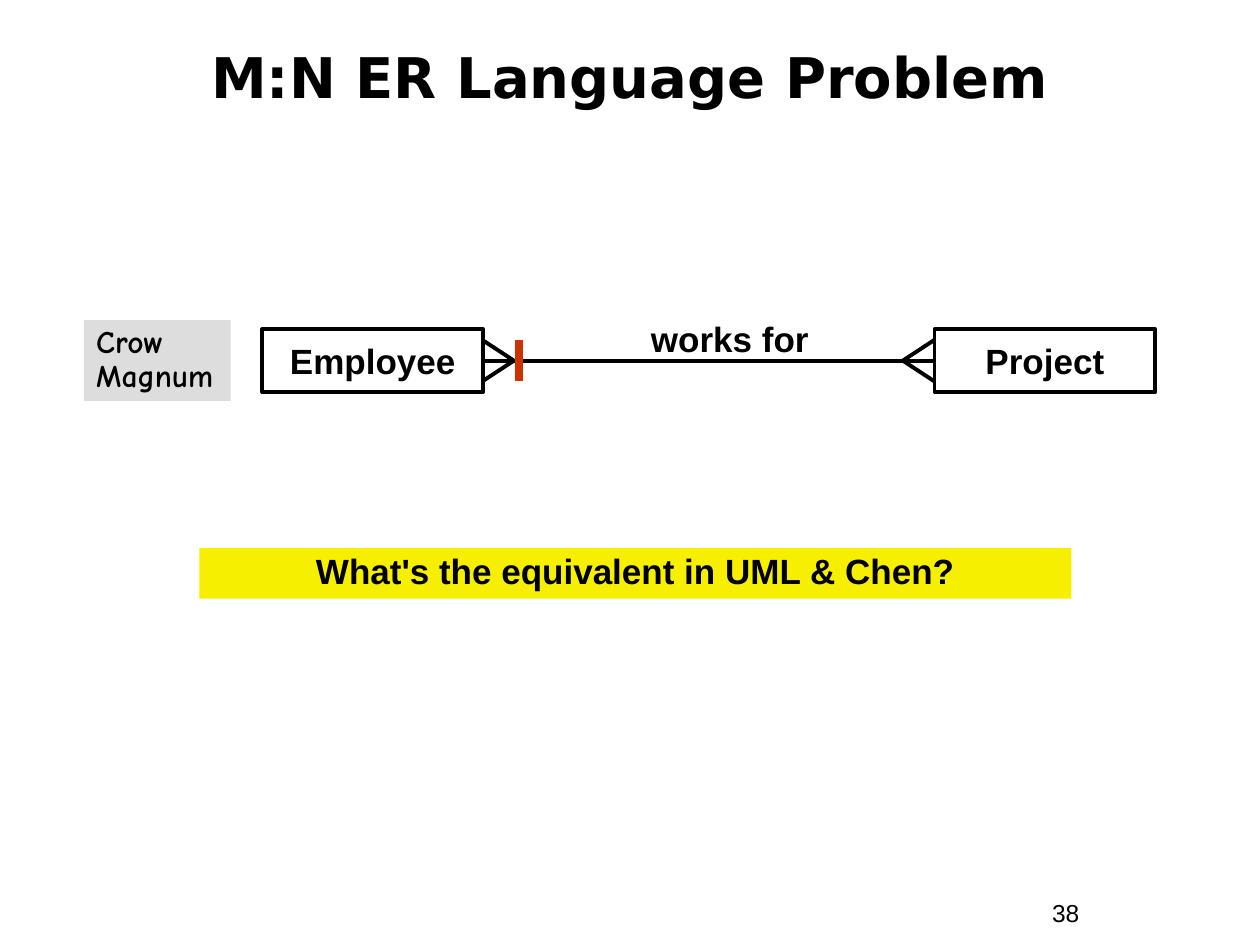
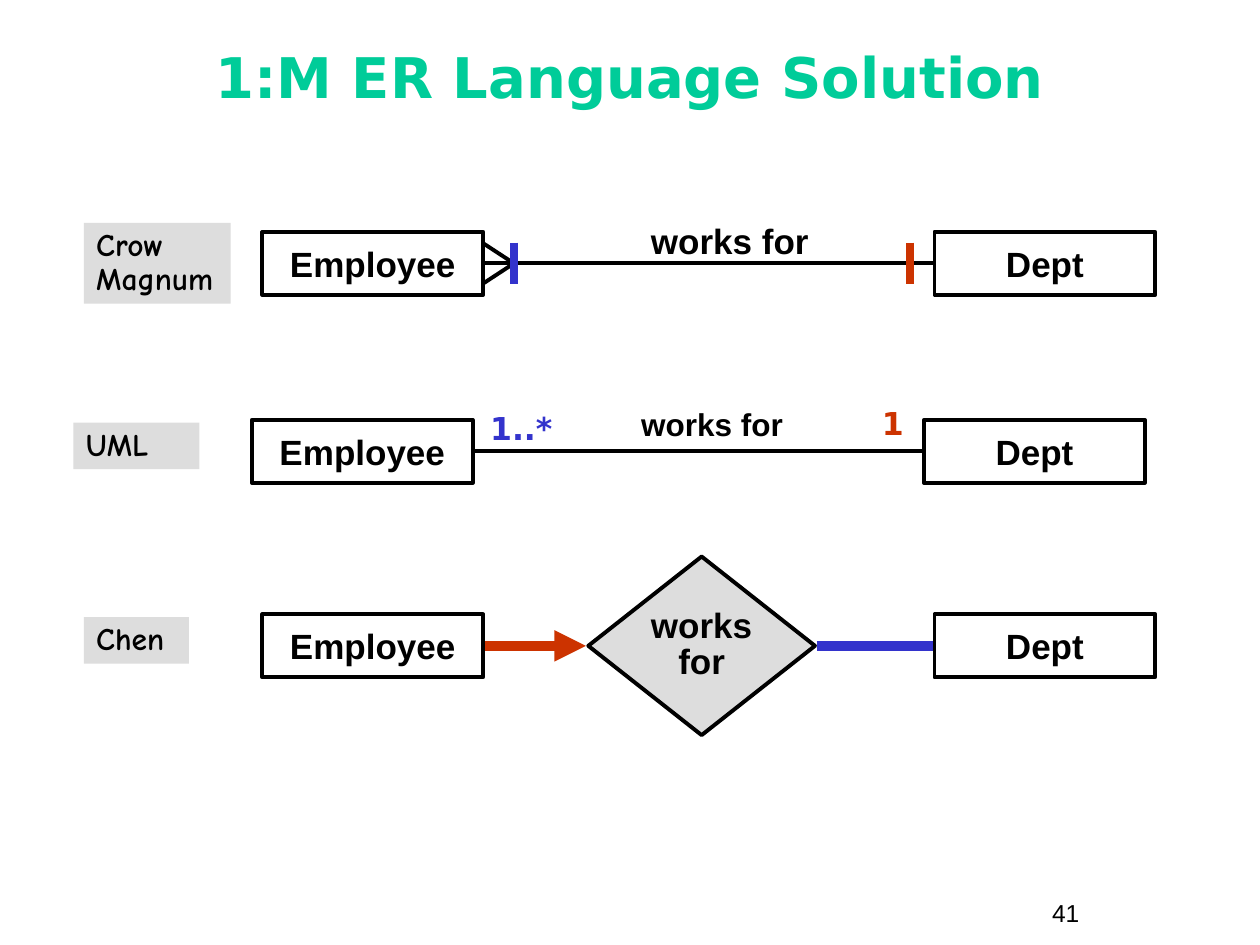
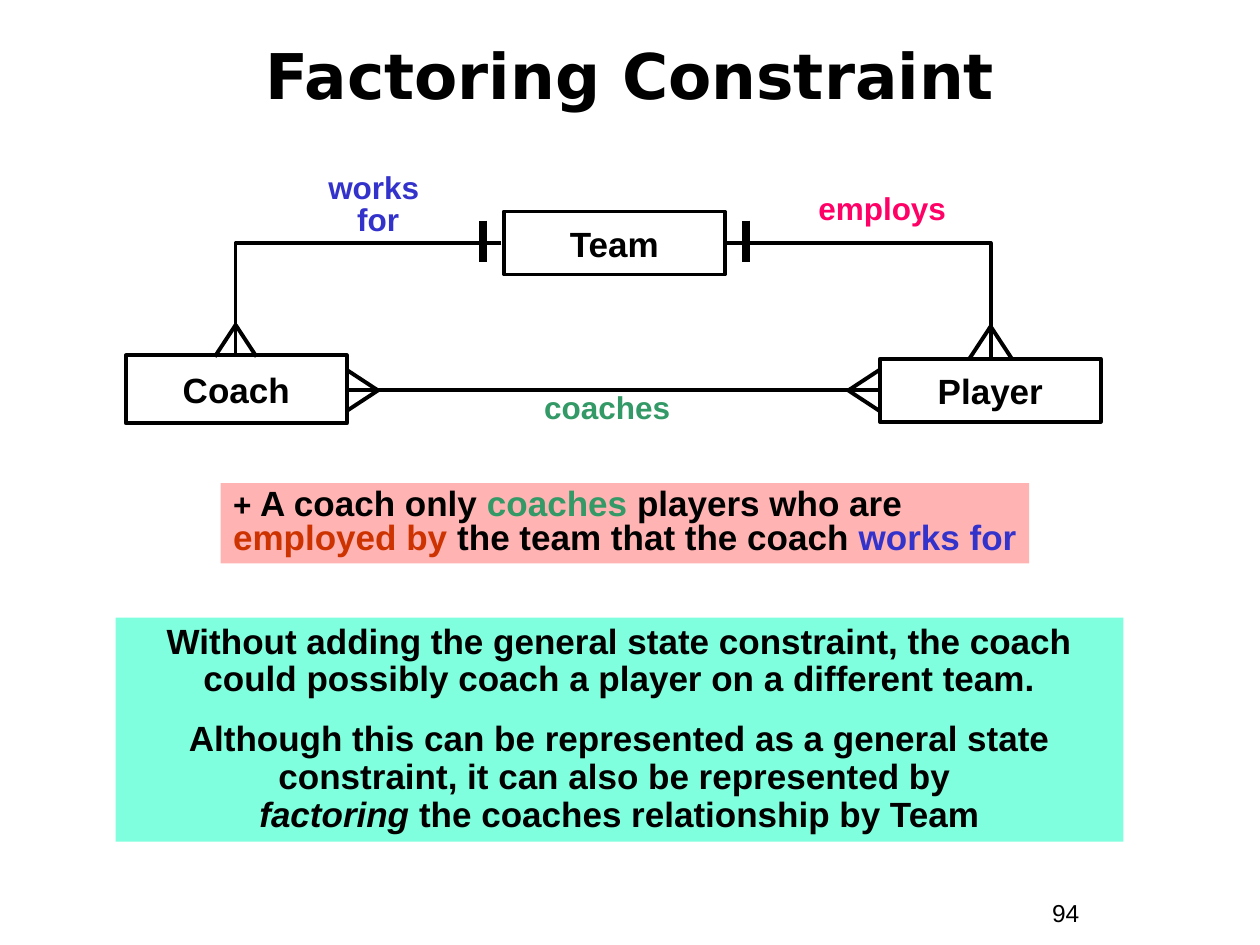
"""Build three slides comparing entity-relationship notations."""
import pptx
import pptx.util
import pptx.dml.color
import pptx.enum.shapes
import pptx.enum.text
import pptx.oxml.ns
from lxml import etree

Cm = pptx.util.Cm
Pt = pptx.util.Pt
SHAPE = pptx.enum.shapes.MSO_SHAPE
CONNECTOR = pptx.enum.shapes.MSO_CONNECTOR
ALIGN = pptx.enum.text.PP_ALIGN
ANCHOR = pptx.enum.text.MSO_ANCHOR
qn = pptx.oxml.ns.qn

COLORS = {
    "black": "000000", "gray": "DDDDDD", "red": "CC3300", "blue": "3333CC",
    "mint": "00CC99", "green": "339966", "pink": "FF0066",
    "yellow": "F6F000", "rose": "FFB3B3", "aqua": "7FFFDD",
}
BODY, HEADING, HAND = "Arial", "DejaVu Sans", "Comic Neue"
ENTITY_WIDTH, ENTITY_HEIGHT = 4.45, 1.27
ENTITY_STEP = 13.55
ROW_LEFT = 5.29
FOOT_REACH, FOOT_SPREAD = 0.64, 0.42
BAR_HALF = 0.42
THIN, BAR, THICK = 2.25, 4.5, 6

PROBLEM = {"title": "M:N ER Language Problem", "number": "38", "axis": 7.27,
           "names": ("Employee", "Project"), "question": "What's the equivalent in UML & Chen?"}
SOLUTION = {"title": "1:M ER Language Solution", "number": "41",
            "names": ("Employee", "Dept"), "crow": 5.31, "uml": 9.1, "chen": 13.02}
FACTORING = {"title": "Factoring Constraint", "number": "94"}

TEAM_ENTITIES = [
    ("Coach", 2.54, 7.85, 1.37),
    ("Team", 10.16, 4.9, ENTITY_HEIGHT),
    ("Player", 17.74, 7.87, ENTITY_HEIGHT),
]
TEAM_LINKS = [
    ((10.11, 4.9), (4.75, 7.14), CONNECTOR.ELBOW),
    ((14.6, 4.9), (19.97, 7.2), CONNECTOR.ELBOW),
    ((7.03, 7.87), (17.7, 7.87), CONNECTOR.STRAIGHT),
]
TEAM_FEET = [
    (7.62, 7.87, "left"), (17.1, 7.87, "right"),
    (4.75, 6.55, "down"), (19.97, 6.58, "down"),
]
TEAM_BARS = [9.73, 15.04]
TEAM_LABELS = [
    ("works \nfor", 5.51, 3.38, 4.23, 1.55, "blue"),
    ("employs", 15.67, 3.81, 4.23, 0.91, "pink"),
    ("coaches", 9.88, 7.82, 4.72, 0.91, "green"),
]
CONSTRAINT = [[
    ("+ ", {"size": 18}), ("A coach only ", {}), ("coaches", {"color": "green"}),
    (" players who are ", {}), ("employed by", {"color": "red"}),
    (" the team that the coach ", {}), ("works for", {"color": "blue"}),
]]
EXPLANATION = [
    "Without adding the general state constraint, the coach could possibly "
    "coach a player on a different team.",
    [("Although this can be represented as a general state constraint, "
      "it can also be represented by \n", {}),
     ("factoring", {"italic": True}), (" the coaches relationship by Team", {})],
]


def rgb(name):
    """Return the named colour."""
    return pptx.dml.color.RGBColor.from_string(COLORS[name])


def style(span, size, font, color, bold=True, italic=False):
    """Format one run."""
    span.font.size, span.font.name = Pt(size), font
    span.font.bold, span.font.italic = bold, italic
    span.font.color.rgb = rgb(color)


def write(frame, paragraphs, size=20, font=BODY, color="black", align=ALIGN.CENTER,
          spacing=1.0, gap=0, anchor=ANCHOR.TOP, wrap=True, bold=True):
    """Fill a text frame with plain or mixed paragraphs."""
    frame.word_wrap, frame.vertical_anchor = wrap, anchor
    for index, content in enumerate(paragraphs):
        para = frame.add_paragraph() if index else frame.paragraphs[0]
        para.alignment, para.line_spacing = align, spacing
        if index:
            para.space_before = Pt(gap)
        base = {"size": size, "font": font, "color": color, "bold": bold}
        if isinstance(content, str):
            para.text = content
            for span in para.runs:
                style(span, **base)
            continue
        for text, changes in content:
            span = para.add_run()
            span.text = text.rstrip("\n")
            style(span, **{**base, **changes})
            if text.endswith("\n"):
                para.add_line_break()


def add_label(page, text, left, top, width, height, **options):
    """Add a text box."""
    box = page.shapes.add_textbox(Cm(left), Cm(top), Cm(width), Cm(height))
    write(box.text_frame, [text], **options)


def add_box(page, paragraphs, left, top, width, height, fill=None, outlined=False,
            kind=SHAPE.RECTANGLE, **options):
    """Add a filled or outlined shape holding text."""
    box = page.shapes.add_shape(kind, Cm(left), Cm(top), Cm(width), Cm(height))
    box.shadow.inherit = False
    if fill:
        box.fill.solid()
        box.fill.fore_color.rgb = rgb(fill)
    else:
        box.fill.background()
    if outlined:
        box.line.color.rgb, box.line.width = rgb("black"), Pt(THIN)
    else:
        box.line.fill.background()
    write(box.text_frame, paragraphs, **options)


def add_entity(page, name, left, axis, height=ENTITY_HEIGHT):
    """Add an entity box centred on a horizontal axis."""
    add_box(page, [name], left, axis - height / 2, ENTITY_WIDTH, height,
            outlined=True, anchor=ANCHOR.MIDDLE, wrap=False)


def add_tag(page, name, left, middle, width, height):
    """Add the gray tag that names a notation."""
    add_box(page, [name], left, middle - height / 2, width, height, fill="gray",
            size=18, font=HAND, align=ALIGN.LEFT, spacing=0.9)


def add_line(page, start, end, color="black", width=THIN, kind=CONNECTOR.STRAIGHT, arrow=False):
    """Add a straight or single-bend connector."""
    line = page.shapes.add_connector(kind, *(Cm(value) for value in (*start, *end)))
    line.line.color.rgb, line.line.width = rgb(color), Pt(width)
    properties = line.element.spPr
    if kind == CONNECTOR.ELBOW:
        properties.find(qn("a:prstGeom")).set("prst", "bentConnector2")
    if arrow:
        etree.SubElement(properties.find(qn("a:ln")), qn("a:tailEnd"), type="triangle")
    etree.SubElement(properties, qn("a:effectLst"))


def add_foot(page, x, y, side):
    """Add a crow's foot opening from its tip towards one side."""
    for spread in (-FOOT_SPREAD, FOOT_SPREAD):
        ends = {"left": (x - FOOT_REACH, y + spread), "right": (x + FOOT_REACH, y + spread),
                "down": (x + spread, y + FOOT_REACH)}
        add_line(page, (x, y), ends[side])


def add_bar(page, x, axis, color="black"):
    """Add a vertical cardinality bar."""
    add_line(page, (x, axis - BAR_HALF), (x, axis + BAR_HALF), color, BAR)


def add_pair(page, names, left, axis):
    """Add the two entities of a relationship."""
    for index, name in enumerate(names):
        add_entity(page, name, left + index * ENTITY_STEP, axis)


def add_crow_row(page, names, axis):
    """Add a relationship in crow's foot notation."""
    add_tag(page, "Crow\nMagnum", 1.69, axis, 2.96, 1.63)
    add_pair(page, names, ROW_LEFT, axis)
    add_line(page, (9.78, axis), (18.8, axis))
    add_foot(page, 10.36, axis, "left")
    add_label(page, "works for", 12.6, axis - 0.87, 4.23, 0.99, spacing=0.85)


def add_page(deck, content, color="black", size=32, top=0.48, height=2.34, spacing=0.85):
    """Add a slide with its title and number."""
    page = deck.slides.add_slide(deck.slide_layouts[5])
    title = page.shapes.title
    title.left, title.top, title.width, title.height = Cm(0.85), Cm(top), Cm(23.7), Cm(height)
    write(title.text_frame, [content["title"]], size=size, font=HEADING, color=color,
          spacing=spacing, anchor=ANCHOR.MIDDLE)
    add_label(page, content["number"], 20.96, 17.98, 2.34, 0.86, size=14,
              align=ALIGN.LEFT, bold=False)
    return page


def build_problem(deck):
    """Build the many-to-many question."""
    page = add_page(deck, PROBLEM)
    axis = PROBLEM["axis"]
    add_crow_row(page, PROBLEM["names"], axis)
    add_foot(page, 18.2, axis, "right")
    add_bar(page, 10.46, axis, "red")
    add_box(page, [PROBLEM["question"]], 4.02, 11.05, 17.58, 1.02, fill="yellow", spacing=0.9)


def build_solution(deck):
    """Build the one-to-many answer in three notations."""
    page = add_page(deck, SOLUTION, color="mint")
    names = SOLUTION["names"]
    axis = SOLUTION["crow"]
    add_crow_row(page, names, axis)
    add_bar(page, 10.36, axis, "blue")
    add_bar(page, 18.34, axis, "red")

    axis = SOLUTION["uml"]
    add_tag(page, "UML", 1.48, axis - 0.11, 2.54, 0.94)
    add_pair(page, names, ROW_LEFT - 0.21, axis)
    add_line(page, (9.57, axis), (18.59, axis))
    add_label(page, "works for", 12.24, axis - 0.95, 4.23, 0.91, size=18, spacing=0.85)
    for text, left, rise, color in (("1..*", 9.45, 0.9, "blue"), ("1", 16.94, 1.0, "red")):
        add_label(page, text, left, axis - rise, 2.12, 0.94, size=18, font=HEADING,
                  color=color, spacing=0.9)

    axis = SOLUTION["chen"]
    add_tag(page, "Chen", 1.69, axis - 0.11, 2.12, 0.94)
    add_pair(page, names, ROW_LEFT, axis)
    add_line(page, (16.46, axis), (18.8, axis), "blue", THICK)
    add_box(page, ["works\nfor"], 11.86, axis - 1.8, 4.57, 3.6, fill="gray", outlined=True,
            kind=SHAPE.FLOWCHART_DECISION, spacing=0.85, anchor=ANCHOR.MIDDLE, wrap=False)
    add_line(page, (9.78, axis), (11.81, axis), "red", THICK, arrow=True)


def build_factoring(deck):
    """Build the team diagram with its constraint."""
    page = add_page(deck, FACTORING, size=36, top=0.43, height=2.12, spacing=1.0)
    for entity in TEAM_ENTITIES:
        add_entity(page, *entity)
    for start, end, kind in TEAM_LINKS:
        add_line(page, start, end, kind=kind)
    for foot in TEAM_FEET:
        add_foot(page, *foot)
    for x in TEAM_BARS:
        add_bar(page, x, 4.87)
    for *place, color in TEAM_LABELS:
        add_label(page, *place, size=18, color=color, spacing=0.85)
    add_box(page, CONSTRAINT, 4.45, 9.74, 16.3, 1.62, fill="rose", align=ALIGN.LEFT,
            spacing=0.8, anchor=ANCHOR.MIDDLE)
    add_box(page, EXPLANATION, 2.33, 12.45, 20.32, 4.52, fill="aqua", spacing=0.9, gap=12.5)


def main():
    """Build and save the deck."""
    deck = pptx.Presentation()
    deck.slide_width, deck.slide_height = Cm(25.4), Cm(19.05)
    build_problem(deck)
    build_solution(deck)
    build_factoring(deck)
    deck.save("out.pptx")


if __name__ == "__main__":
    main()
